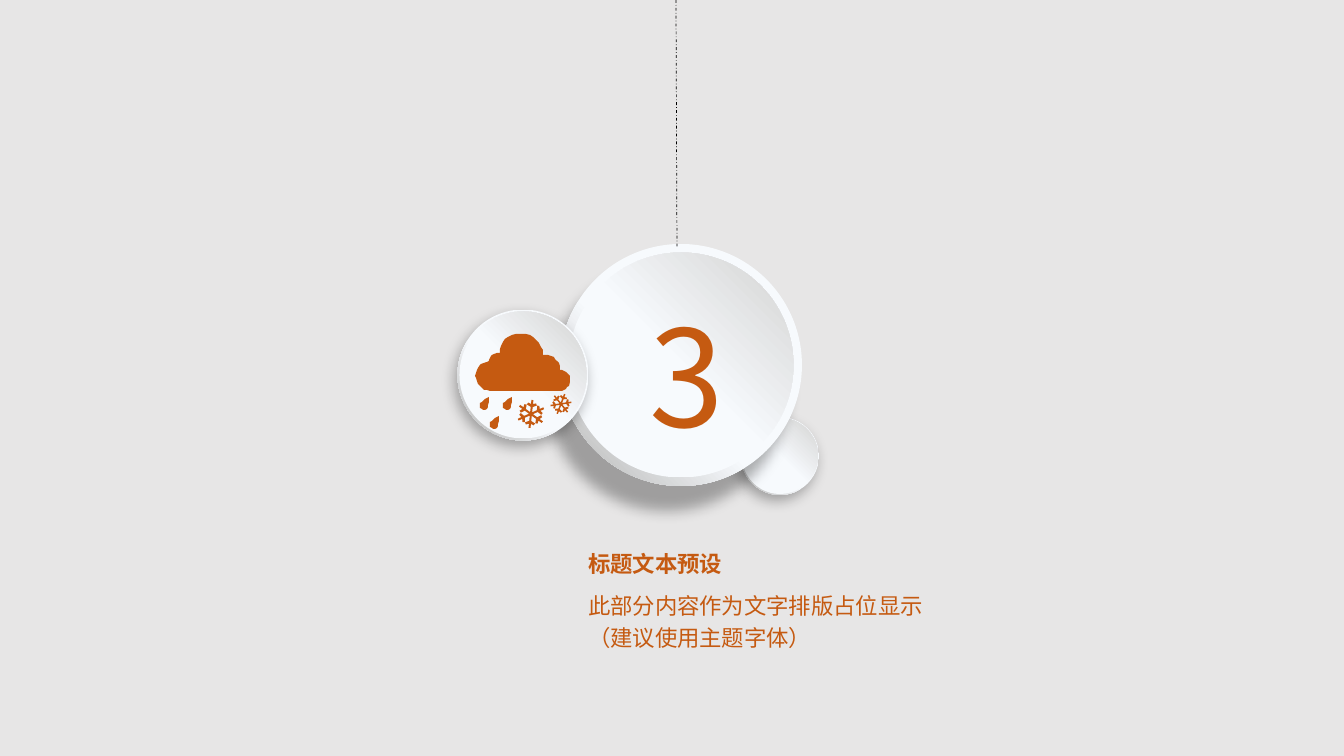
import math

import lxml.etree
import pptx
import pptx.dml.color
import pptx.enum.dml
import pptx.enum.shapes
import pptx.enum.text
import pptx.oxml.ns
import pptx.util

PX = 914400 / 100.8
FONT = "Noto Sans CJK SC"
COLORS = {
    "background": "E7E6E6",
    "accent": "C55A11",
    "line": "000000",
    "shadow": "000000",
    "light": "F7FAFD",
    "pale": "D9D9D9",
    "grey": "BFBFBF",
    "dark": "A6A6A6",
}
RIM = (135, [(57, "light"), (92, "grey"), (100, "dark")])
FACE = (315, [(49, "light"), (92, "pale"), (100, "grey")])

CLOUD = [
    (85, 57), (15, 57), (12, 56), (9, 56), (7, 54), (5, 52), (3, 50), (2, 47),
    (1, 44), (0, 42), (1, 39), (2, 36), (3, 34), (5, 31), (6, 30), (9, 29),
    (12, 28), (14, 27), (14, 26), (15, 24), (16, 22), (17, 21), (19, 20),
    (22, 19), (25, 19), (25, 15), (26, 12), (28, 8), (30, 5), (33, 3), (37, 1),
    (41, 0), (51, 0), (55, 1), (58, 3), (61, 6), (64, 9), (66, 13), (68, 16),
    (68, 21), (73, 21), (76, 22), (79, 23), (80, 25), (82, 27), (84, 29),
    (85, 32), (85, 36), (87, 36), (89, 37), (91, 38), (92, 39), (94, 41),
    (95, 42), (95, 48), (94, 52), (92, 53), (91, 55), (89, 56), (87, 57),
]
DROP = [
    (0, 0), (0, 5), (-1, 8), (-1, 10), (-2, 12), (-4, 13), (-6, 13),
    (-7, 12), (-9, 11), (-9, 6), (-7, 5), (-4, 2),
]
HALF_ARM = [(2, -1), (7, -1), (9, -5), (11, -4), (10, -1), (14, -1)]


def px(n):
    return pptx.util.Emu(round(n * PX))


def rgb(name):
    return pptx.dml.color.RGBColor.from_string(COLORS[name])


def sub(parent, tag, **attrs):
    el = lxml.etree.SubElement(parent, pptx.oxml.ns.qn(tag))
    for key, value in attrs.items():
        el.set(key, str(value))
    return el


def add_circle(shapes, cx, cy, size, gradient):
    left, top = px(cx - size / 2), px(cy - size / 2)
    sp = shapes.add_shape(
        pptx.enum.shapes.MSO_SHAPE.OVAL, left, top, px(size), px(size))
    angle, stops = gradient
    grad = sub(sp._element.spPr, "a:gradFill", rotWithShape=1)
    gs_lst = sub(grad, "a:gsLst")
    for pos, color in stops:
        gs = sub(gs_lst, "a:gs", pos=pos * 1000)
        sub(gs, "a:srgbClr", val=COLORS[color])
    sub(grad, "a:lin", ang=angle * 60000, scaled=0)
    sp.line.fill.background()
    sp.shadow.inherit = False
    return sp


def add_disc(slide, cx, cy, rim, face, distance):
    group = slide.shapes.add_group_shape()
    sp = add_circle(group.shapes, cx, cy, rim, RIM)
    effects = sp._element.spPr.find(pptx.oxml.ns.qn("a:effectLst"))
    shadow = sub(effects, "a:outerShdw", blurRad=pptx.util.Pt(10),
                 dist=pptx.util.Pt(distance), dir=120 * 60000,
                 algn="ctr", rotWithShape=0)
    color = sub(shadow, "a:srgbClr", val=COLORS["shadow"])
    sub(color, "a:alpha", val=31000)
    add_circle(group.shapes, cx, cy, face, FACE)
    return group


def shift(points, dx, dy):
    return [(x + dx, y + dy) for x, y in points]


def snowflake(cx, cy, scale, tilt):
    arm = HALF_ARM + [(u, -v) for u, v in reversed(HALF_ARM)]
    points = []
    for k in range(6):
        a = math.radians(tilt + 60 * k)
        c, s = scale * math.cos(a), scale * math.sin(a)
        points += [(cx + u * c - v * s, cy + u * s + v * c) for u, v in arm]
    return points


def add_weather_icon(shapes, left, top):
    outlines = [CLOUD]
    outlines += [shift(DROP, x, y) for x, y in [(14, 63), (24, 82), (37, 63)]]
    outlines += [snowflake(56, 80, 1, -24), snowflake(86, 70, 0.75, -9)]
    outlines = [[(px(x), px(y)) for x, y in shift(o, left, top)] for o in outlines]
    builder = shapes.build_freeform(*outlines[0][0])
    builder.add_line_segments(outlines[0][1:])
    for outline in outlines[1:]:
        builder.move_to(*outline[0])
        builder.add_line_segments(outline[1:])
    sp = builder.convert_to_shape()
    sp.fill.solid()
    sp.fill.fore_color.rgb = rgb("accent")
    sp.line.fill.background()
    sp.shadow.inherit = False


def add_cord(slide, x1, y1, x2, y2):
    cord = slide.shapes.add_connector(
        pptx.enum.shapes.MSO_CONNECTOR.STRAIGHT, px(x1), px(y1), px(x2), px(y2))
    cord.line.color.rgb = rgb("line")
    cord.line.width = pptx.util.Pt(0.5)
    cord.line.dash_style = pptx.enum.dml.MSO_LINE.DASH_DOT
    sub(cord._element.spPr, "a:effectLst")


def format_text(p, size, align, bold=False):
    p.alignment = align
    for r in p.runs:
        r.font.size = pptx.util.Pt(size)
        r.font.bold = bold
        r.font.color.rgb = rgb("accent")
        r.font.name = FONT
        sub(r._r.get_or_add_rPr(), "a:ea", typeface=FONT)


def add_number(shapes, text, left, top, width, height):
    sp = shapes.add_textbox(px(left), px(top), px(width), px(height))
    tf = sp.text_frame
    tf.text = text
    tf.word_wrap = True
    tf.auto_size = pptx.enum.text.MSO_AUTO_SIZE.SHAPE_TO_FIT_TEXT
    format_text(tf.paragraphs[0], 96, pptx.enum.text.PP_ALIGN.CENTER)


def fill_placeholder(sp, text, left, top, width, height, anchor, wrap, bold):
    sp.left, sp.top, sp.width, sp.height = map(px, (left, top, width, height))
    tf = sp.text_frame
    tf.word_wrap = wrap
    tf.auto_size = pptx.enum.text.MSO_AUTO_SIZE.NONE
    tf.vertical_anchor = anchor
    p = tf.paragraphs[0]
    p.text = text
    p.space_before = pptx.util.Pt(0)
    pPr = p._p.get_or_add_pPr()
    pPr.set("marL", "0")
    pPr.set("indent", "0")
    sub(pPr, "a:buNone")
    format_text(p, 16, pptx.enum.text.PP_ALIGN.LEFT, bold)
    return p


def main():
    prs = pptx.Presentation()
    prs.slide_width, prs.slide_height = px(1344), px(756)
    slide = prs.slides.add_slide(prs.slide_layouts[1])
    slide.background.fill.solid()
    slide.background.fill.fore_color.rgb = rgb("background")

    add_disc(slide, 780, 456, 78, 76, 5)
    number_disc = add_disc(slide, 681, 365, 242, 225, 20)
    add_number(number_disc.shapes, "3", 640, 288, 82, 173)
    icon_disc = add_disc(slide, 523, 375, 131, 127, 5)
    add_weather_icon(icon_disc.shapes, 475, 334)
    add_cord(slide, 676, 0, 677, 247)

    anchors = pptx.enum.text.MSO_ANCHOR
    title, body = slide.placeholders
    fill_placeholder(title, "标题文本预设", 578, 546, 394, 36,
                     anchors.MIDDLE, False, True)
    p = fill_placeholder(body, "此部分内容作为文字排版占位显示\v（建议使用主题字体）",
                         578, 582, 394, 53, anchors.TOP, True, False)
    p.line_spacing = 1.2
    prs.save("out.pptx")


if __name__ == "__main__":
    main()
